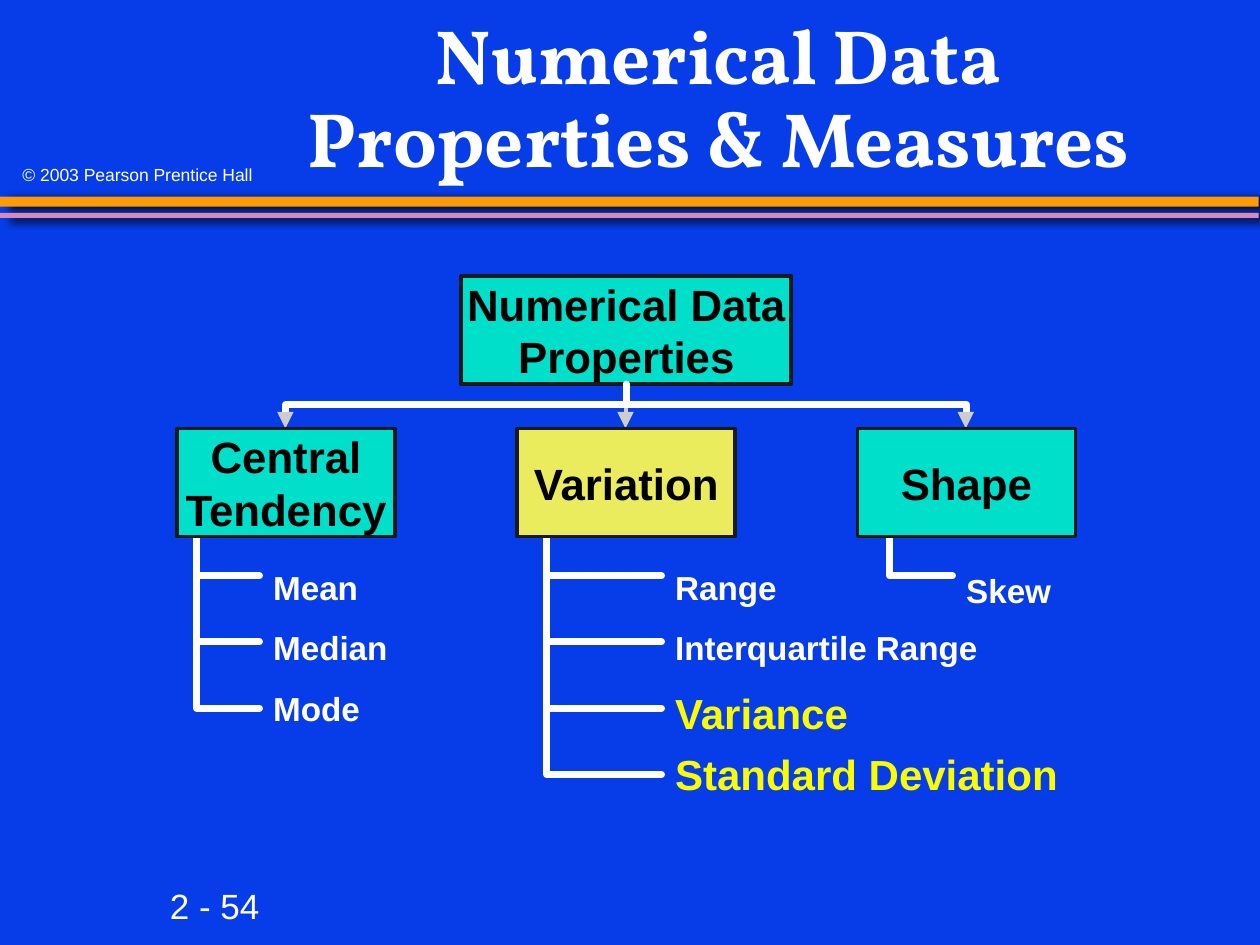
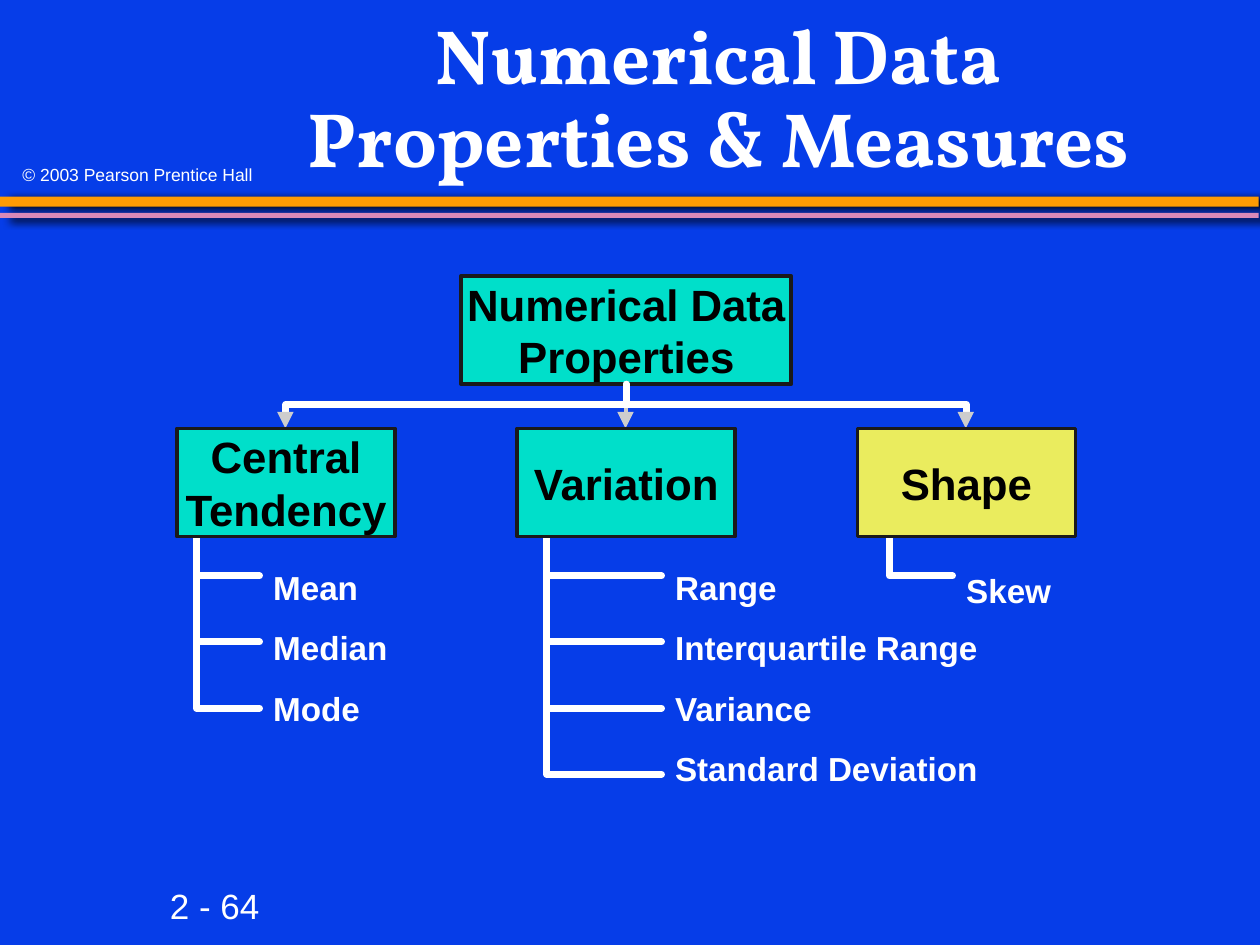
from lxml.etree import SubElement
from pptx import Presentation
from pptx.dml.color import RGBColor
from pptx.enum.shapes import MSO_CONNECTOR, MSO_SHAPE
from pptx.enum.text import MSO_ANCHOR, MSO_AUTO_SIZE, PP_ALIGN
from pptx.oxml.ns import qn
from pptx.util import Inches, Pt

BLUE, WHITE, BLACK, EDGE = "063DE8", "FFFFFF", "000000", "1A1A1A"
TEAL, SAND, YELLOW, GRAY = "00DFCA", "EAEC5E", "FAFD00", "CDCDCD"
ORANGE, PINK = "FE9B03", "D989B8"

TITLE = dict(name="Vollkorn", size=Pt(44), bold=True)
NODE = dict(name="Arial", size=Pt(25), bold=True)
MEASURE = dict(name="Arial", size=Pt(19), bold=True)
KEY_MEASURE = dict(name="Arial", size=Pt(24), bold=True)
PAGE = dict(name="Arial", size=Pt(20), bold=False)
COPYRIGHT = dict(name="Arial", size=Pt(10), bold=False)

CENTER, BRANCH_GAP = 4.97, 2.7
ROOT_TOP, NODE_TOP, NODE_H = 2.19, 3.4, 0.86
BUS_TOP, BUS_Y, BUS_END = 3.05, 3.21, 3.27
TRUNK_TOP, ROW_TOP, ROW_GAP, LABEL_GAP = 4.05, 4.57, 0.525, 0.48

BRANCHES = [
    dict(name="Central\nTendency", trunk=1.56, arm=0.5, label_top=4.45,
         measures=[("Mean", 0.89), ("Median", 1.12), ("Mode", 0.9)]),
    dict(name="Variation", trunk=4.34, arm=0.91, label_top=4.45,
         measures=[("Range", 1.02), ("Interquartile Range", 2.62),
                   ("Variance", 1.31), ("Standard Deviation", 2.62)]),
    dict(name="Shape", trunk=7.06, arm=0.5, label_top=4.48,
         measures=[("Skew", 0.89)]),
]


def rgb(color):
    """Turn a hex string into a colour."""
    return RGBColor.from_string(color)


def style_text(tf, text, fmt, color, align=PP_ALIGN.LEFT):
    """Fill a text frame and format every paragraph."""
    tf.text = text
    for p in tf.paragraphs:
        p.alignment = align
        for r in p.runs:
            for name, value in fmt.items():
                setattr(r.font, name, value)
            r.font.color.rgb = rgb(color)


def add_label(s, left, top, width, height, text, fmt, color=WHITE):
    """Add a one-line text box."""
    tf = s.shapes.add_textbox(*map(Inches, (left, top, width, height))).text_frame
    tf.word_wrap = False
    style_text(tf, text, fmt, color)


def add_filled(s, kind, left, top, width, height, fill):
    """Add a plain filled shape without outline or shadow."""
    sp = s.shapes.add_shape(kind, *map(Inches, (left, top, width, height)))
    sp.shadow.inherit = False
    sp.fill.solid()
    sp.fill.fore_color.rgb = rgb(fill)
    sp.line.fill.background()
    return sp


def add_band(s, top, height, fill, distance, angle):
    """Add a full-width band with a soft black shadow."""
    sp = add_filled(s, MSO_SHAPE.RECTANGLE, 0, top, 9.99, height, fill)
    effects = sp._element.spPr.find(qn("a:effectLst"))
    shadow = SubElement(effects, qn("a:outerShdw"), blurRad=str(Pt(5)),
                        dist=str(Pt(distance)), dir=str(angle * 60000),
                        algn="ctr", rotWithShape="0")
    SubElement(shadow, qn("a:srgbClr"), val=BLACK)


def add_node(s, center, top, width, text, fill):
    """Add an outlined box with centred bold text."""
    sp = add_filled(s, MSO_SHAPE.RECTANGLE, center - width / 2, top, width, NODE_H, fill)
    sp.line.color.rgb = rgb(EDGE)
    sp.line.width = Pt(2)
    tf = sp.text_frame
    frame = dict(margin_left=0, margin_right=0, margin_top=0, margin_bottom=0,
                 word_wrap=False, vertical_anchor=MSO_ANCHOR.MIDDLE)
    for name, value in frame.items():
        setattr(tf, name, value)
    style_text(tf, text, NODE, BLACK, PP_ALIGN.CENTER)


def add_path(s, points):
    """Draw a thick white open path with round ends and corners."""
    start, *rest = [tuple(map(Inches, point)) for point in points]
    builder = s.shapes.build_freeform(*start)
    builder.add_line_segments(rest, close=False)
    sp = builder.convert_to_shape()
    sp.shadow.inherit = False
    sp.fill.background()
    sp.line.color.rgb = rgb(WHITE)
    sp.line.width = Pt(4)
    ln = sp.line._get_or_add_ln()
    ln.set("cap", "rnd")
    SubElement(ln, qn("a:round"))


def add_stem(s):
    """Draw the thin gray line down to the middle branch."""
    ends = (CENTER, BUS_TOP, CENTER, BUS_END)
    line = s.shapes.add_connector(MSO_CONNECTOR.STRAIGHT, *map(Inches, ends))
    line.line.color.rgb = rgb(GRAY)
    line.line.width = Pt(2)
    SubElement(line._element.spPr, qn("a:effectLst"))


def add_root(s, centers):
    """Draw the top box and the arrows to the branches."""
    add_node(s, CENTER, ROOT_TOP, 2.62, "Numerical Data\nProperties", TEAL)
    add_stem(s)
    for x in centers:
        if x != CENTER:
            add_path(s, [(CENTER, BUS_TOP), (CENTER, BUS_Y), (x, BUS_Y), (x, BUS_END)])
        add_filled(s, MSO_SHAPE.FLOWCHART_MERGE, x - 0.07, BUS_END, 0.13, 0.13, GRAY)


def add_branch(s, center, branch, fill, key_measures):
    """Draw a branch box with its tree of measures."""
    trunk, arm_end = branch["trunk"], branch["trunk"] + branch["arm"]
    start = TRUNK_TOP
    for i, (text, width) in enumerate(branch["measures"]):
        y = ROW_TOP + i * ROW_GAP
        add_path(s, [(trunk, start), (trunk, y), (arm_end, y)])
        start = y
        is_key = text in key_measures
        add_label(s, arm_end + 0.01, branch["label_top"] + i * LABEL_GAP,
                  width * 1.25 if is_key else width, 0.51 if is_key else 0.43, text,
                  KEY_MEASURE if is_key else MEASURE, YELLOW if is_key else WHITE)
    add_node(s, center, NODE_TOP, 1.73, branch["name"], fill)


def add_title(s, text):
    """Place and format the slide title."""
    title = s.shapes.title
    place = dict(left=1.83, top=0.19, width=7.75, height=1.23)
    for name, value in place.items():
        setattr(title, name, Inches(value))
    tf = title.text_frame
    tf.auto_size = MSO_AUTO_SIZE.NONE
    tf.vertical_anchor = MSO_ANCHOR.MIDDLE
    style_text(tf, text, TITLE, WHITE, PP_ALIGN.CENTER)
    tf.paragraphs[0].line_spacing = 0.9


def add_measures_slide(prs, page, current, key_measures=()):
    """Build the properties tree with the current branch highlighted."""
    s = prs.slides.add_slide(prs.slide_layouts[5])
    add_band(s, 1.56, 0.08, ORANGE, 6.1, 9)
    add_band(s, 1.69, 0.04, PINK, 6.3, 18)
    add_label(s, 1.25, 6.97, 0.92, 0.44, page, PAGE)
    add_label(s, 0.08, 1.25, 2.18, 0.26, "© 2003 Pearson Prentice Hall", COPYRIGHT)
    add_title(s, "Numerical Data\vProperties & Measures")
    centers = [CENTER + step * BRANCH_GAP for step in (-1, 0, 1)]
    add_root(s, centers)
    for center, branch in zip(centers, BRANCHES):
        fill = SAND if branch["name"] == current else TEAL
        add_branch(s, center, branch, fill, key_measures)


def main():
    """Build and save the presentation."""
    prs = Presentation()
    prs.slide_width, prs.slide_height = Inches(10), Inches(7.5)
    background = prs.slide_master.background.fill
    background.solid()
    background.fore_color.rgb = rgb(BLUE)
    add_measures_slide(prs, "2 - 54", "Variation", ("Variance", "Standard Deviation"))
    add_measures_slide(prs, "2 - 64", "Shape")
    prs.save("out.pptx")


if __name__ == "__main__":
    main()
